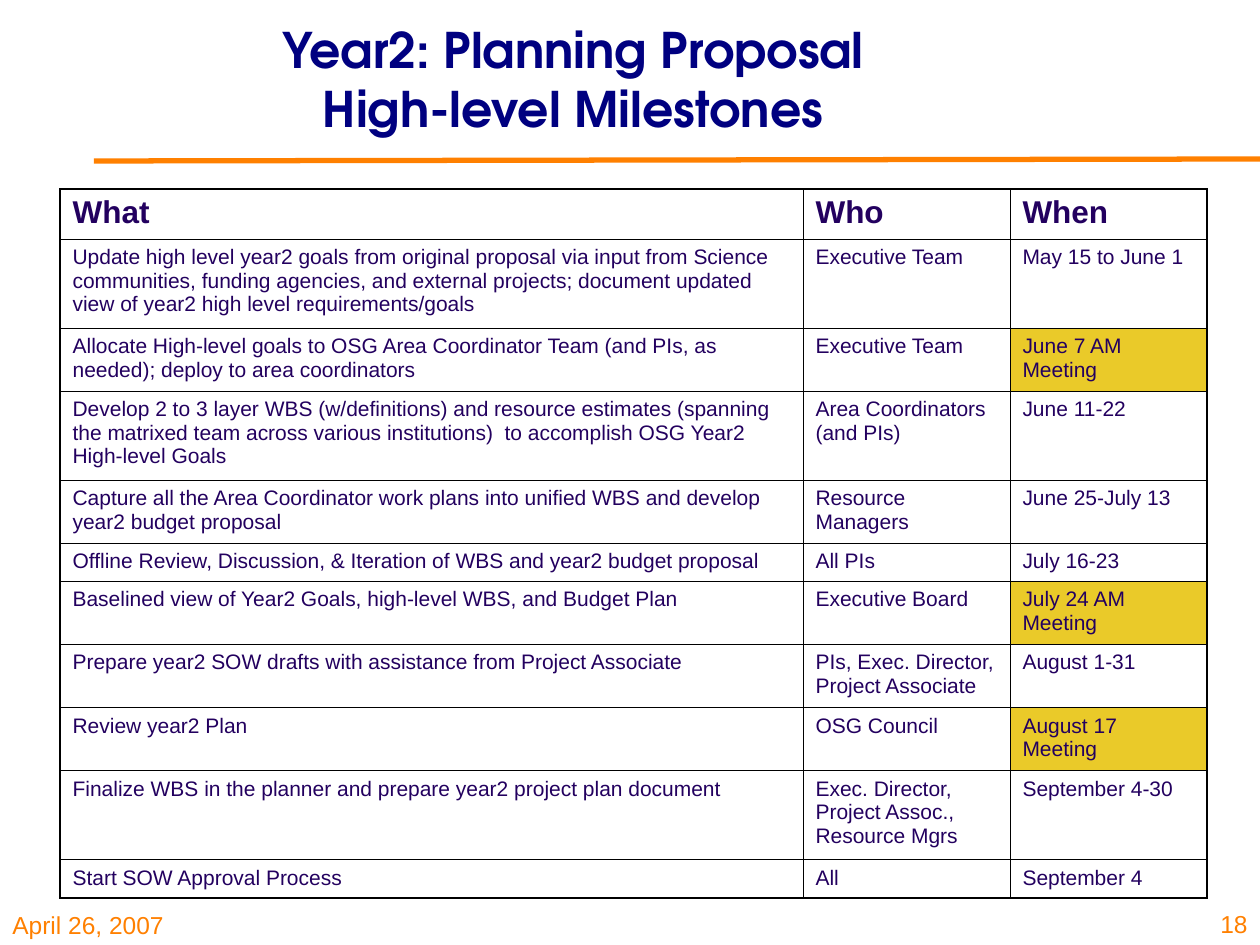
from lxml import etree
from pptx import Presentation
from pptx import util as u
from pptx.dml.color import RGBColor
from pptx.enum import shapes, text
from pptx.oxml import ns

ORANGE, NAVY, INK, GOLD = "FF8000", "000080", "23005F", "EACA29"


def px(count):
    return u.Emu(round(count * 914400 / 126))


def add_span(para, words, size, color, font="Arial", bold=False):
    span = para.add_run()
    span.text = words
    span.font.name = font
    span.font.size = u.Pt(size)
    span.font.bold = bold
    span.font.color.rgb = RGBColor.from_string(color)


deck = Presentation()
deck.slide_width, deck.slide_height = px(1260), px(945)
page = deck.slides.add_slide(deck.slide_layouts[6])

# Rule under the title
rule = page.shapes.add_connector(
    shapes.MSO_CONNECTOR.STRAIGHT, px(94), px(161), px(1260), px(159))
rule.line.color.rgb = RGBColor.from_string(ORANGE)
rule.line.width = u.Pt(3)
etree.SubElement(rule._element.spPr, ns.qn("a:effectLst"))

# Title, date and page number
align, anchor = text.PP_ALIGN, text.MSO_ANCHOR
labels = [
    (94, 0, 958, 157, align.CENTER, anchor.MIDDLE,
     ["Year2: Planning Proposal", "High-level Milestones"],
     (28, NAVY, "TeX Gyre Adventor", True)),
    (0, 893, 312, 53, align.LEFT, anchor.BOTTOM, ["April 26, 2007"], (14, ORANGE)),
    (1202, 882, 58, 63, align.RIGHT, anchor.BOTTOM, ["18"], (14, ORANGE)),
]
for left, top, width, height, side, hold, lines, style in labels:
    box = page.shapes.add_textbox(px(left), px(top), px(width), px(height))
    frame = box.text_frame
    frame.word_wrap = True
    frame.vertical_anchor = hold
    para = frame.paragraphs[0]
    para.alignment = side
    for number, line in enumerate(lines):
        if number:
            para.add_line_break()
        add_span(para, line, *style)

# Milestones: line count of the tallest cell, what, who, when, is a meeting
milestones = [
    (3, "Update high level year2 goals from original proposal via input from Science "
        "communities, funding agencies, and external projects; document updated view "
        "of year2 high level requirements/goals",
     "Executive Team", "May 15 to June 1", False),
    (2, "Allocate High-level goals to OSG Area Coordinator Team (and PIs, as needed); "
        "deploy to area coordinators",
     "Executive Team", "June 7 AM Meeting", True),
    (3, "Develop 2 to 3 layer WBS (w/definitions) and resource estimates (spanning the "
        "matrixed team across various institutions)  to accomplish OSG Year2 "
        "High-level Goals",
     "Area Coordinators (and PIs)", "June 11-22", False),
    (2, "Capture all the Area Coordinator work plans into unified WBS and develop "
        "year2 budget proposal",
     "Resource Managers", "June 25-July 13", False),
    (1, "Offline Review, Discussion, & Iteration of WBS and year2 budget proposal",
     "All PIs", "July 16-23", False),
    (2, "Baselined view of Year2 Goals, high-level WBS, and Budget Plan",
     "Executive Board", "July 24 AM Meeting", True),
    (2, "Prepare year2 SOW drafts with assistance from Project Associate",
     "PIs, Exec. Director, Project Associate", "August 1-31", False),
    (2, "Review year2 Plan", "OSG Council", "August 17 Meeting", True),
    (3, "Finalize WBS in the planner and prepare year2 project plan document",
     "Exec. Director, Project Assoc., Resource Mgrs", "September 4-30", False),
    (1, "Start SOW Approval Process", "All", "September 4", False),
]
heights = {1: 38, 2: 63, 3: 89}
rows = [(50, ("What", "Who", "When"), False)]
rows += [(heights[count], words, meeting) for count, *words, meeting in milestones]
widths = [743, 207, 197]

# Milestone table
table = page.shapes.add_table(
    len(rows), len(widths), px(60), px(189),
    px(sum(widths)), px(sum(height for height, _, _ in rows))).table
table.first_row = table.horz_banding = False
for column, width in zip(table.columns, widths):
    column.width = px(width)

last_row, last_column = len(rows) - 1, len(widths) - 1
for r, (height, words, meeting) in enumerate(rows):
    table.rows[r].height = px(height)
    for c, word in enumerate(words):
        cell = table.cell(r, c)
        add_span(cell.text_frame.paragraphs[0], word,
                 12 if r else 18, INK, bold=r == 0)

        # Heavier border on the outer edges
        edges = {"L": c == 0, "R": c == last_column, "T": r == 0, "B": r == last_row}
        properties = cell._tc.get_or_add_tcPr()
        for edge, outer in edges.items():
            border = etree.SubElement(properties, ns.qn("a:ln" + edge),
                                      w=str(u.Pt(1.08 if outer else 0.45)))
            paint = etree.SubElement(border, ns.qn("a:solidFill"))
            etree.SubElement(paint, ns.qn("a:srgbClr"), val="000000")

        if meeting and c == last_column:
            cell.fill.solid()
            cell.fill.fore_color.rgb = RGBColor.from_string(GOLD)
        else:
            cell.fill.background()

deck.save("out.pptx")
